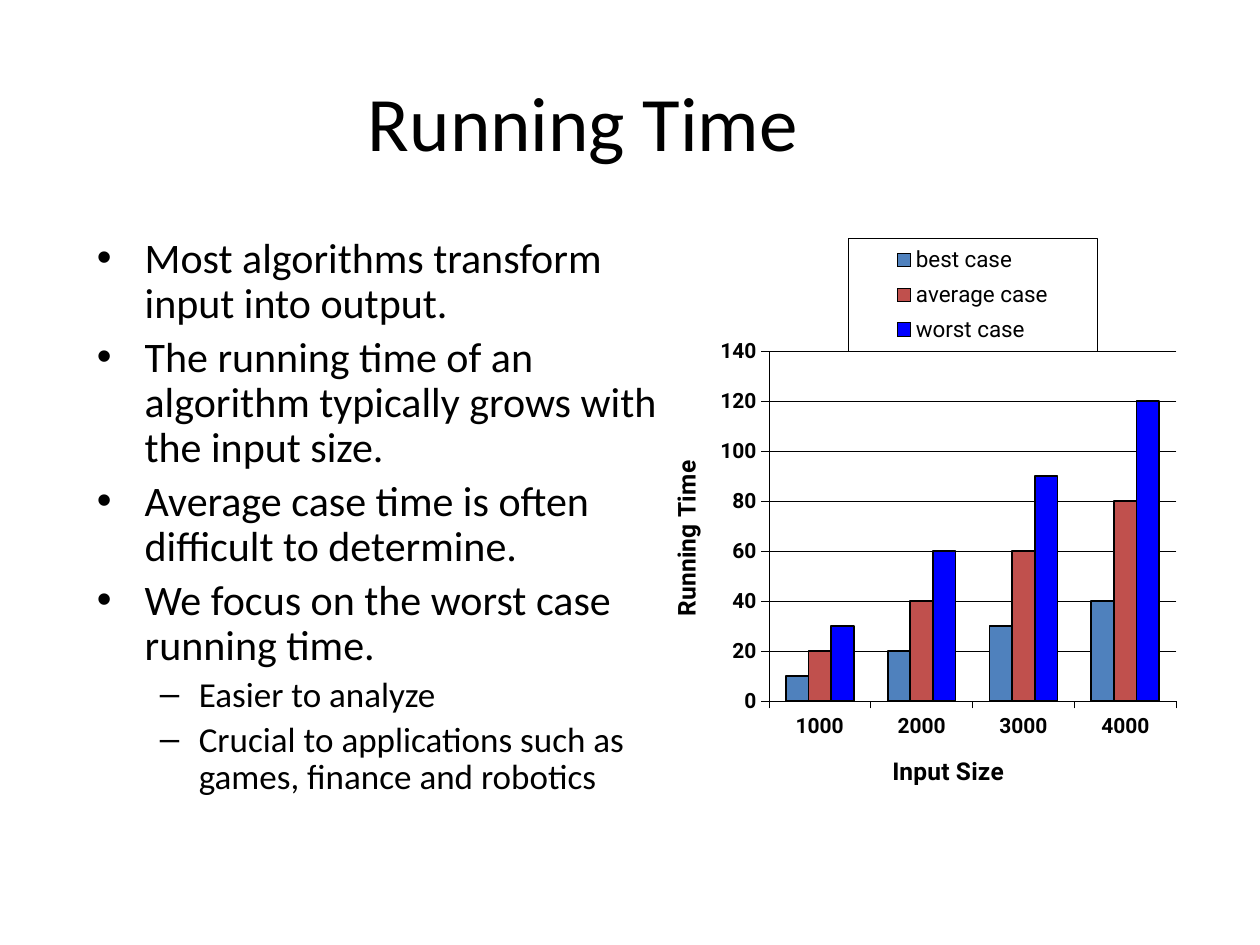
"""Build the Running Time slide: bullets beside a clustered column chart."""
import lxml.etree
import pptx
import pptx.chart.data
import pptx.dml.color
import pptx.enum.chart
import pptx.enum.text
import pptx.oxml.ns
import pptx.util

Inches, Pt = pptx.util.Inches, pptx.util.Pt
RGBColor = pptx.dml.color.RGBColor
qn = pptx.oxml.ns.qn

BLACK = RGBColor(0x00, 0x00, 0x00)
STEEL = RGBColor(0x4F, 0x81, 0xBD)
BRICK = RGBColor(0xC0, 0x50, 0x4D)
BLUE = RGBColor(0x00, 0x00, 0xFF)

TITLE = "Running Time \t"
BULLETS = [
    (0, "Most algorithms transform input into output."),
    (0, "The running time of an algorithm typically grows with the input size."),
    (0, "Average case time is often difficult to determine."),
    (0, "We focus on the worst case running time."),
    (1, "Easier to analyze"),
    (1, "Crucial to applications such as games, finance and robotics"),
]
LEVELS = [
    {"size": 24, "char": "•", "left": 0.38, "hang": 0.38},
    {"size": 20, "char": "–", "left": 0.81, "hang": 0.31},
]
SIZES = ["1000", "2000", "3000", "4000"]
SERIES = [
    ("best case", [10, 20, 30, 40], STEEL),
    ("average case", [20, 40, 60, 80], BRICK),
    ("worst case", [30, 60, 90, 120], BLUE),
]


def set_font(font, size, name="Roboto", bold=False):
    font.size, font.name, font.bold = Pt(size), name, bold
    font.color.rgb = BLACK


def add_text(p, text, **style):
    r = p.add_run()
    r.text = text
    set_font(r.font, **style)


def set_line(line, width):
    line.color.rgb = BLACK
    line.width = Pt(width)


def add_bullet(p, text, size, char, left, hang):
    add_text(p, text, size=size, name="Calibri")
    p.line_spacing = 0.9
    p.space_before = Pt(size * 0.2)
    pPr = p._p.get_or_add_pPr()
    pPr.set("marL", str(Inches(left)))
    pPr.set("indent", str(-Inches(hang)))
    lxml.etree.SubElement(pPr, qn("a:buFont"), typeface="Arial")
    lxml.etree.SubElement(pPr, qn("a:buChar"), char=char)


def make_layout(x, y, w, h, inner=False):
    layout = lxml.etree.Element(qn("c:layout"))
    manual = lxml.etree.SubElement(layout, qn("c:manualLayout"))
    items = [("xMode", "edge"), ("yMode", "edge"), ("x", x), ("y", y), ("w", w), ("h", h)]
    if inner:
        items.insert(0, ("layoutTarget", "inner"))
    for tag, val in items:
        lxml.etree.SubElement(manual, qn("c:" + tag), val=str(val))
    return layout


def format_axis(axis, title):
    set_font(axis.tick_labels.font, 12, bold=True)
    set_line(axis.format.line, 0.25)
    axis.major_tick_mark = pptx.enum.chart.XL_TICK_MARK.OUTSIDE
    add_text(axis.axis_title.text_frame.paragraphs[0], title, size=14, bold=True)


def format_legend(chart):
    chart.has_legend = True
    legend = chart.legend
    legend.position = pptx.enum.chart.XL_LEGEND_POSITION.RIGHT
    legend.include_in_layout = False
    set_font(legend.font, 12.8)
    root = legend._element
    for old in root.findall(qn("c:layout")):
        root.remove(old)
    root.find(qn("c:overlay")).addprevious(make_layout(0.36, 0, 0.47, 0.2))
    spPr = lxml.etree.Element(qn("c:spPr"))
    ln = lxml.etree.SubElement(spPr, qn("a:ln"), w=str(Pt(0.25)))
    fill = lxml.etree.SubElement(ln, qn("a:solidFill"))
    lxml.etree.SubElement(fill, qn("a:srgbClr"), val=str(BLACK))
    root.find(qn("c:txPr")).addprevious(spPr)


def add_running_time_chart(s):
    data = pptx.chart.data.CategoryChartData()
    data.categories = SIZES
    for name, values, _ in SERIES:
        data.add_series(name, values)
    chart = s.shapes.add_chart(
        pptx.enum.chart.XL_CHART_TYPE.COLUMN_CLUSTERED,
        Inches(5.22), Inches(1.89), Inches(4.2), Inches(4.48), data).chart
    chart.has_title = False
    set_font(chart.font, 9, bold=True)
    plot = chart.plots[0]
    plot.gap_width, plot.overlap, plot.vary_by_categories = 150, 0, False
    for series, (_, _, color) in zip(plot.series, SERIES):
        series.format.fill.solid()
        series.format.fill.fore_color.rgb = color
        set_line(series.format.line, 1)
    format_axis(chart.category_axis, "Input Size")
    chart.category_axis.tick_label_position = pptx.enum.chart.XL_TICK_LABEL_POSITION.LOW
    axis = chart.value_axis
    format_axis(axis, "Running Time")
    axis.minimum_scale, axis.maximum_scale, axis.major_unit = 0, 140, 20
    axis.has_major_gridlines = True
    set_line(axis.major_gridlines.format.line, 0.25)
    format_legend(chart)
    area = chart._chartSpace.chart.plotArea
    for old in area.findall(qn("c:layout")):
        area.remove(old)
    area.insert(0, make_layout(0.21, 0.2, 0.77, 0.62, inner=True))


def main():
    prs = pptx.Presentation()
    prs.slide_width, prs.slide_height = Inches(10), Inches(7.5)
    s = prs.slides.add_slide(prs.slide_layouts[5])

    title = s.shapes.title
    title.left, title.top = Inches(0.67), Inches(0.33)
    title.width, title.height = Inches(8.5), Inches(1.25)
    tf = title.text_frame
    tf.vertical_anchor = pptx.enum.text.MSO_ANCHOR.MIDDLE
    p = tf.paragraphs[0]
    p.alignment = pptx.enum.text.PP_ALIGN.CENTER
    add_text(p, TITLE, size=44, name="Calibri")

    body = s.shapes.add_textbox(Inches(0.67), Inches(1.83), Inches(4.83), Inches(5.25))
    tf = body.text_frame
    tf.word_wrap = True
    for i, (level, text) in enumerate(BULLETS):
        p = tf.add_paragraph() if i else tf.paragraphs[0]
        p.level = level
        add_bullet(p, text, **LEVELS[level])

    add_running_time_chart(s)
    prs.save("out.pptx")


if __name__ == "__main__":
    main()
